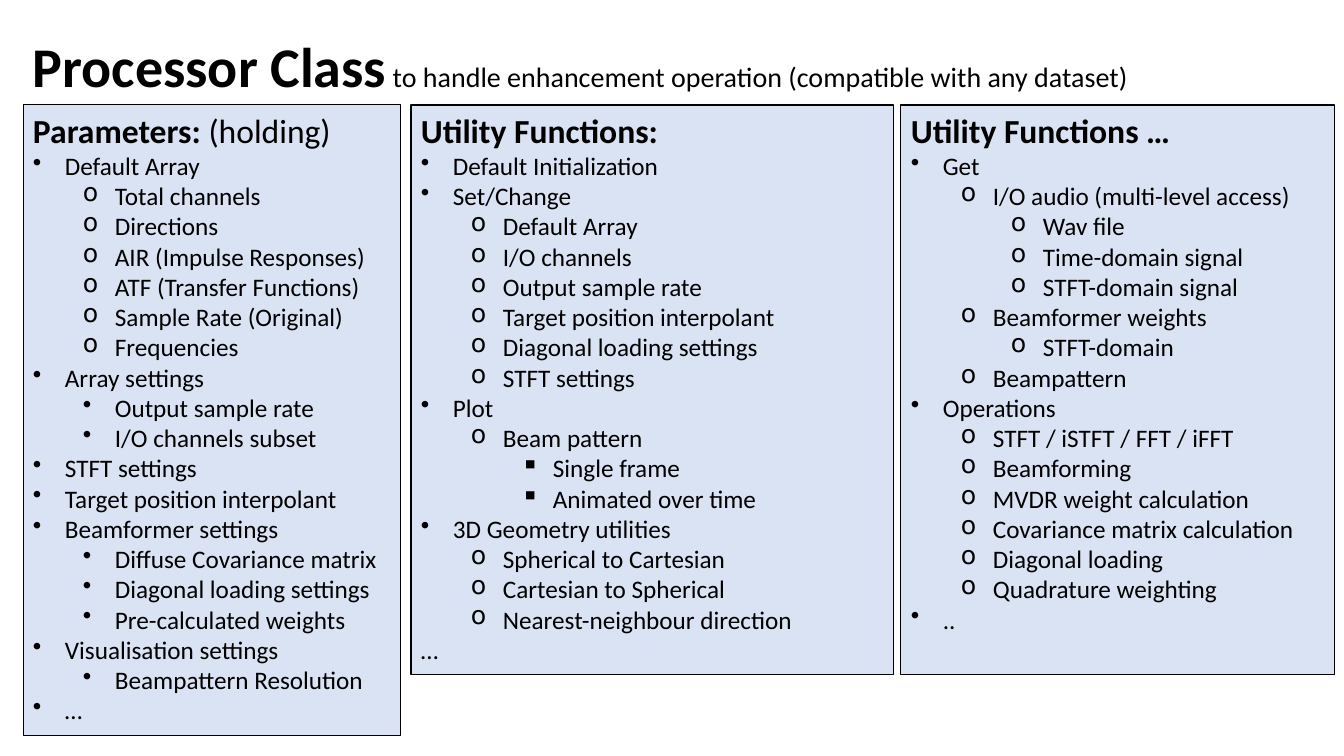
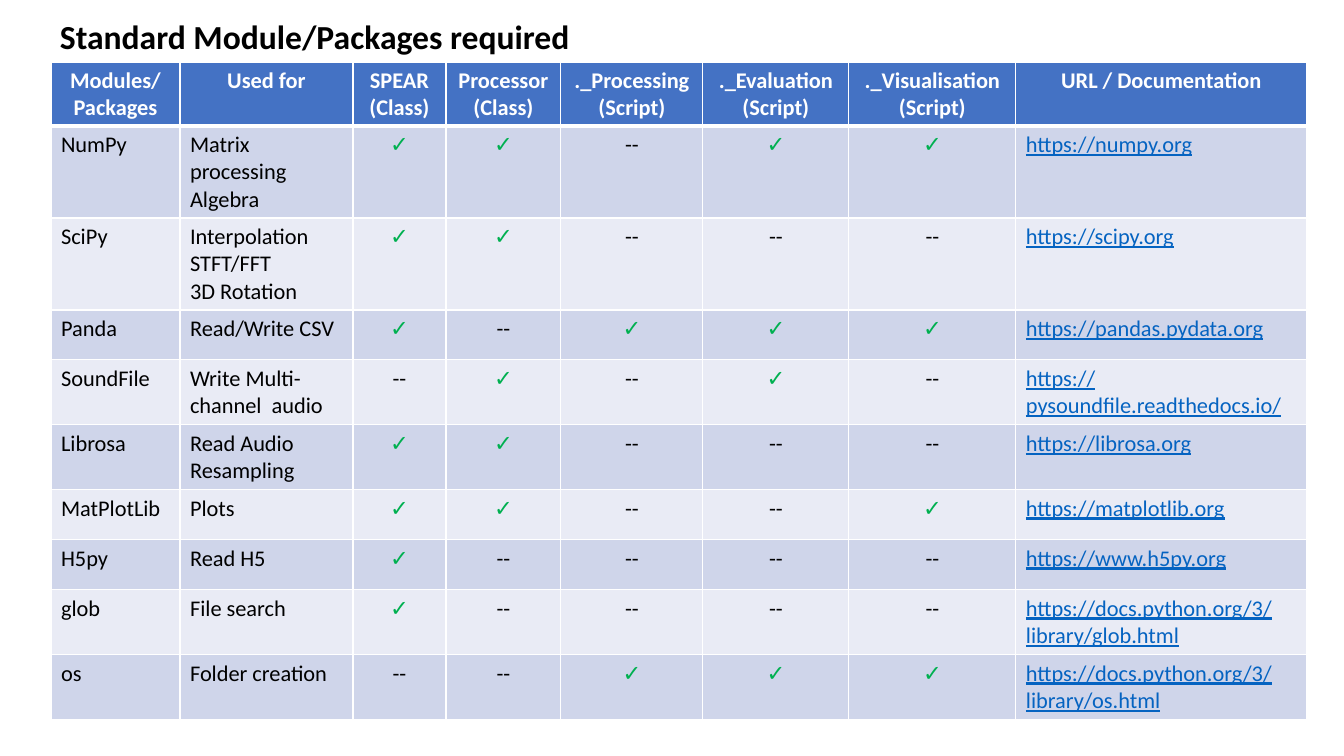
"""Builds two slides: the processor class overview and the required packages."""
from lxml.etree import SubElement
from pptx import Presentation
from pptx.dml.color import RGBColor
from pptx.enum.shapes import MSO_SHAPE as Shape
from pptx.enum.text import MSO_ANCHOR as Anchor, MSO_AUTO_SIZE as AutoSize, PP_ALIGN as Align
from pptx.oxml.ns import qn
from pptx.util import Emu, Pt

SLIDE_WIDTH, SLIDE_HEIGHT = 1344, 756
SCALE = 12192000 / SLIDE_WIDTH
COLORS = {
    "text": "000000", "white": "FFFFFF", "panel": "DAE3F3", "header": "4472C4",
    "odd_row": "CFD5EA", "even_row": "E9EBF5", "check": "00B050", "url": "0563C1",
}
FORMATS = {
    "title": {"size": Pt(40), "bold": True},
    "subtitle": {"size": Pt(20), "bold": False},
    "heading": {"size": Pt(24), "bold": True},
    "heading_note": {"size": Pt(24), "bold": False},
    "item": {"size": Pt(18), "bold": False},
    "column": {"size": Pt(16), "bold": True},
    "cell": {"size": Pt(16), "bold": False},
    "url": {"size": Pt(16), "bold": False, "underline": True},
}
INDENT, LEVEL_STEP = 32, 50


def px(pixels):
    return Emu(round(pixels * SCALE))


def rgb(name):
    return RGBColor.from_string(COLORS[name])


class Deck:
    def __init__(self):
        self.presentation = Presentation()
        self.presentation.slide_width = px(SLIDE_WIDTH)
        self.presentation.slide_height = px(SLIDE_HEIGHT)
        self.slide = None

    def new_slide(self):
        self.slide = self.presentation.slides.add_slide(self.presentation.slide_layouts[6])

    def run(self, paragraph, text, style, color="text"):
        run = paragraph.add_run()
        run.text = text
        run.font.name = "Calibri"
        run.font.color.rgb = rgb(color)
        for name, value in FORMATS[style].items():
            setattr(run.font, name, value)

    def frame(self, shape, runs):
        frame = shape.text_frame
        frame.word_wrap = True
        frame.auto_size = AutoSize.SHAPE_TO_FIT_TEXT
        frame.vertical_anchor = Anchor.TOP
        paragraph = frame.paragraphs[0]
        paragraph.alignment = Align.LEFT
        for text, style in runs:
            self.run(paragraph, text, style)
        return frame

    def title(self, box, *runs):
        self.frame(self.slide.shapes.add_textbox(*map(px, box)), runs)

    def bullet(self, paragraph, level, mark):
        paragraph.level = level
        properties = paragraph._p.get_or_add_pPr()
        properties.set("marL", str(px(INDENT + LEVEL_STEP * level)))
        properties.set("indent", str(px(-INDENT)))
        SubElement(properties, qn("a:buChar"), char=mark)

    def panel(self, box, heading, groups):
        shape = self.slide.shapes.add_shape(Shape.RECTANGLE, *map(px, box))
        shape.shadow.inherit = False
        shape.fill.solid()
        shape.fill.fore_color.rgb = rgb("panel")
        shape.line.color.rgb = rgb("text")
        shape.line.width = Pt(0.75)
        frame = self.frame(shape, heading)
        for level, mark, items in groups:
            for item in items:
                paragraph = frame.add_paragraph()
                paragraph.alignment = Align.LEFT
                if mark:
                    self.bullet(paragraph, level, mark)
                self.run(paragraph, item, "item")

    def borders(self, cell, widths):
        properties = cell._tc.get_or_add_tcPr()
        for side, width in widths.items():
            line = SubElement(properties, qn(f"a:ln{side}"), w=str(Pt(width)))
            fill = SubElement(line, qn("a:solidFill"))
            SubElement(fill, qn("a:srgbClr"), val=COLORS["white"])

    def cell(self, cell, lines, style, color, fill, alignment, widths):
        self.borders(cell, widths)
        cell.fill.solid()
        cell.fill.fore_color.rgb = rgb(fill)
        frame = cell.text_frame
        for index, line in enumerate(lines.split("\n")):
            paragraph = frame.add_paragraph() if index else frame.paragraphs[0]
            paragraph.alignment = alignment
            self.run(paragraph, line, style, color)

    def table(self, left, top, widths, heights, headers, rows):
        table = self.slide.shapes.add_table(
            len(heights), len(widths), px(left), px(top), px(sum(widths)), px(sum(heights))).table
        for column, width in zip(table.columns, widths):
            column.width = px(width)
        for row, height in zip(table.rows, heights):
            row.height = px(height)
        for index, header in enumerate(headers):
            self.cell(table.cell(0, index), header, "column", "white", "header",
                      Align.CENTER, {"L": 1, "R": 1, "T": 1, "B": 3})
        for number, (package, use, marks, url) in enumerate(rows, 1):
            fill = "odd_row" if number % 2 else "even_row"
            edges = {"L": 1, "R": 1, "T": 3 if number == 1 else 1, "B": 1}
            looks = [(package, "cell", "text", Align.LEFT), (use, "cell", "text", Align.LEFT)]
            looks += [("✓", "column", "check", Align.CENTER) if mark == "x"
                      else ("--", "cell", "text", Align.CENTER) for mark in marks]
            looks.append((url, "url", "url", Align.LEFT))
            for index, (text, style, color, alignment) in enumerate(looks):
                self.cell(table.cell(number, index), text, style, color, fill, alignment, edges)


PARAMETERS = [
    (0, "•", ["Default Array"]),
    (1, "o", ["Total channels", "Directions", "AIR (Impulse Responses)",
              "ATF (Transfer Functions)", "Sample Rate (Original)", "Frequencies"]),
    (0, "•", ["Array settings"]),
    (1, "•", ["Output sample rate", "I/O channels subset"]),
    (0, "•", ["STFT settings", "Target position interpolant", "Beamformer settings"]),
    (1, "•", ["Diffuse Covariance matrix", "Diagonal loading settings", "Pre-calculated weights"]),
    (0, "•", ["Visualisation settings"]),
    (1, "•", ["Beampattern Resolution"]),
    (0, "•", ["…"]),
]
UTILITIES = [
    (0, "•", ["Default Initialization", "Set/Change"]),
    (1, "o", ["Default Array", "I/O channels", "Output sample rate",
              "Target position interpolant", "Diagonal loading settings", "STFT settings"]),
    (0, "•", ["Plot"]),
    (1, "o", ["Beam pattern"]),
    (2, "▪", ["Single frame", "Animated over time"]),
    (0, "•", ["3D Geometry utilities"]),
    (1, "o", ["Spherical to Cartesian", "Cartesian to Spherical", "Nearest-neighbour direction"]),
    (0, None, ["…"]),
]
MORE_UTILITIES = [
    (0, "•", ["Get"]),
    (1, "o", ["I/O audio (multi-level access)"]),
    (2, "o", ["Wav file", "Time-domain signal", "STFT-domain signal"]),
    (1, "o", ["Beamformer weights"]),
    (2, "o", ["STFT-domain"]),
    (1, "o", ["Beampattern"]),
    (0, "•", ["Operations"]),
    (1, "o", ["STFT / iSTFT / FFT / iFFT", "Beamforming", "MVDR weight calculation",
              "Covariance matrix calculation", "Diagonal loading", "Quadrature weighting"]),
    (0, "•", [".."]),
]
HEADERS = ["Modules/\nPackages", "Used for", "SPEAR\n(Class)", "Processor\n(Class)",
           "._Processing\n(Script)", "._Evaluation\n(Script)", "._Visualisation\n(Script)",
           "URL / Documentation"]
PACKAGES = [
    ("NumPy", "Matrix processing\nAlgebra", "xx-xx", "https://numpy.org"),
    ("SciPy", "Interpolation\nSTFT/FFT\n3D Rotation", "xx---", "https://scipy.org"),
    ("Panda", "Read/Write CSV", "x-xxx", "https://pandas.pydata.org"),
    ("SoundFile", "Write Multi-channel  audio", "-x-x-", "https://pysoundfile.readthedocs.io/"),
    ("Librosa", "Read Audio\nResampling", "xx---", "https://librosa.org"),
    ("MatPlotLib", "Plots", "xx--x", "https://matplotlib.org"),
    ("H5py", "Read H5", "x----", "https://www.h5py.org"),
    ("glob", "File search", "x----", "https://docs.python.org/3/library/glob.html"),
    ("os", "Folder creation", "--xxx", "https://docs.python.org/3/library/os.html"),
]

deck = Deck()

deck.new_slide()
deck.panel((23, 105, 378, 631),
           [("Parameters: ", "heading"), ("(holding)", "heading_note")], PARAMETERS)
deck.panel((411, 105, 483, 570), [("Utility Functions:", "heading")], UTILITIES)
deck.title((23, 27, 1265, 78), ("Processor Class", "title"),
           (" to handle enhancement operation (compatible with any dataset)", "subtitle"))
deck.panel((901, 105, 434, 570), [("Utility Functions …", "heading")], MORE_UTILITIES)

deck.new_slide()
deck.table(51, 62, [129, 173, 93, 115, 142, 146, 167, 291],
           [64, 92, 92, 50, 65, 65, 50, 50, 65, 65], HEADERS, PACKAGES)
deck.title((50, 11, 832, 50), ("Standard Module/Packages required", "heading"))

deck.presentation.save("out.pptx")
